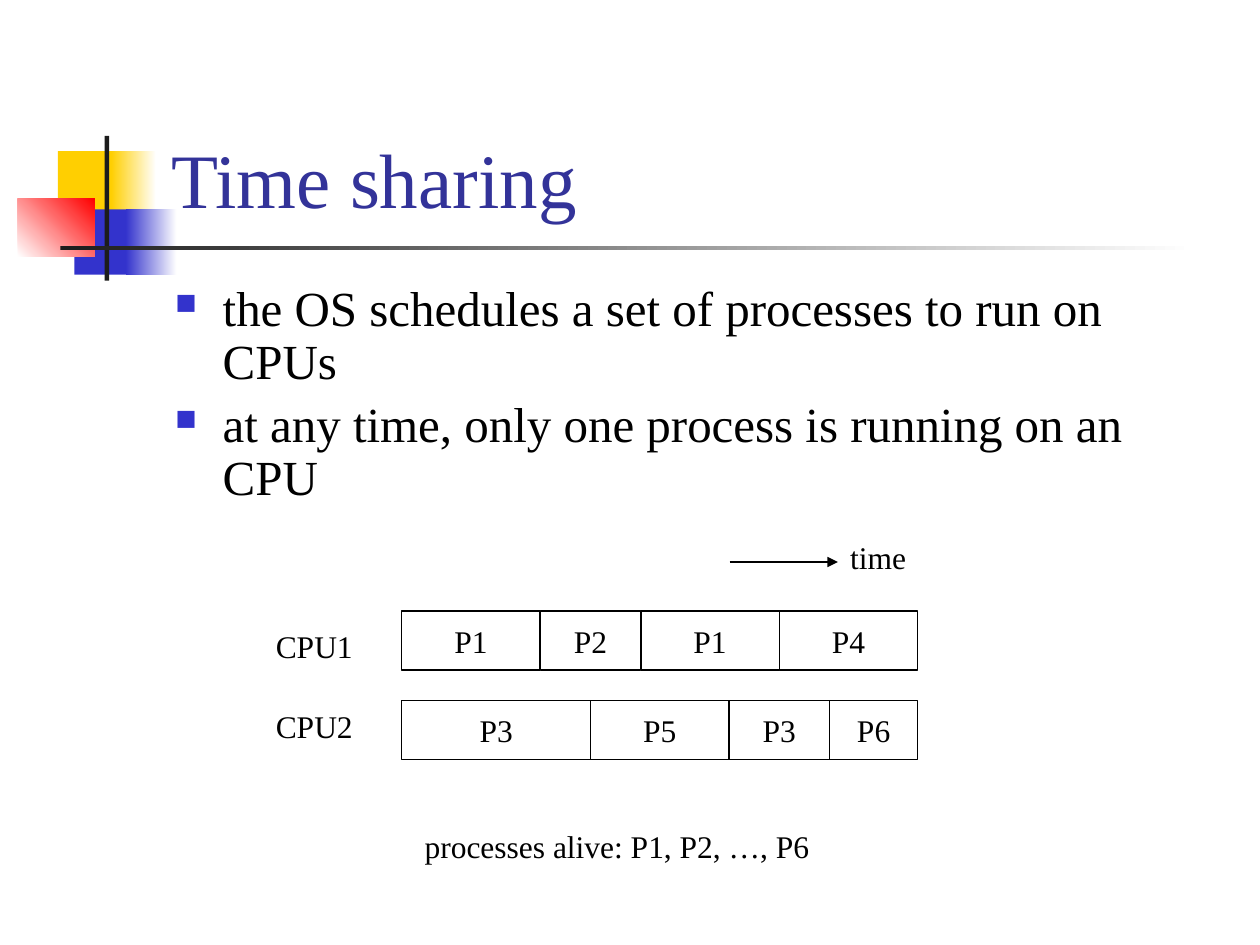
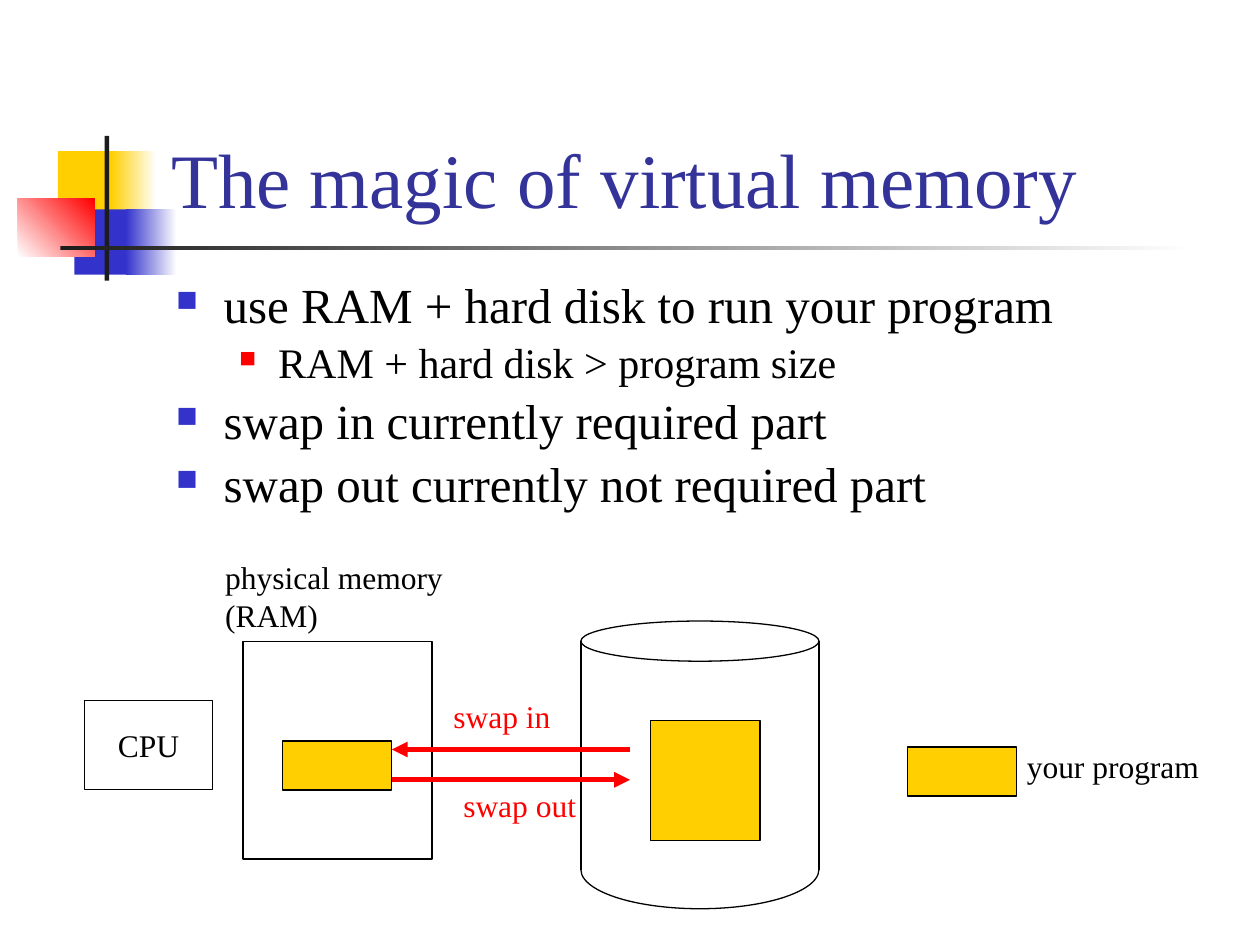
from lxml.etree import SubElement
from pptx import Presentation
from pptx.dml.color import RGBColor
from pptx.enum.shapes import MSO_CONNECTOR as Link, MSO_SHAPE as Kind
from pptx.enum.text import MSO_ANCHOR as Anchor, MSO_AUTO_SIZE as Fit, PP_ALIGN as Align
from pptx.oxml.ns import qn
from pptx.util import Cm, Pt

FONT = "Times New Roman"
BLACK, WHITE, DARK = "000000", "FFFFFF", "1C1C1C"
BLUE, YELLOW, RED, TITLE = "3333CC", "FFCF01", "FF0000", "333399"
LEVELS = [
    dict(size=28, indent=0.96, hang=0.96, color=BLUE, scale=60),
    dict(size=24, indent=2.06, hang=0.79, color=RED, scale=55),
]


def rgb(value):
    return RGBColor.from_string(value)


class Deck:
    """Slide builder that keeps the shared style and the current slide."""

    def __init__(self):
        self.prs = Presentation()
        self.prs.slide_width, self.prs.slide_height = Cm(25.4), Cm(19.05)
        self.s = None

    def slide(self, title):
        self.s = self.prs.slides.add_slide(self.prs.slide_layouts[6])
        self.band(1.17, 3.05, 1.22, 1.32, YELLOW)
        self.band(2.24, 3.05, 0.91, 1.32, YELLOW, WHITE)
        self.band(1.5, 4.22, 1.17, 1.32, BLUE)
        self.band(2.54, 4.22, 1.02, 1.32, BLUE, WHITE)
        self.band(0.36, 4.01, 1.55, 1.17, WHITE, RED, 45)
        self.band(2.11, 2.74, 0.09, 2.92, DARK)
        self.band(1.22, 4.95, 22.86, 0.09, DARK, WHITE)
        tf = self.frame(3.2, 0.58, 21.64, 4.06)
        tf.vertical_anchor = Anchor.BOTTOM
        self.run(tf.paragraphs[0], title, 44, TITLE)

    def run(self, p, text, size=18, color=BLACK):
        r = p.add_run()
        r.text = text
        r.font.name, r.font.size = FONT, Pt(size)
        r.font.color.rgb = rgb(color)

    def frame(self, x, y, w, h, wrap=True):
        tf = self.s.shapes.add_textbox(Cm(x), Cm(y), Cm(w), Cm(h)).text_frame
        tf.word_wrap = wrap
        return tf

    def label(self, x, y, w, *lines, color=BLACK):
        tf = self.frame(x, y, w, 0.25 + 0.77 * len(lines), wrap=False)
        tf.auto_size = Fit.SHAPE_TO_FIT_TEXT
        for i, line in enumerate(lines):
            self.run(tf.add_paragraph() if i else tf.paragraphs[0], line, color=color)

    def bullets(self, x, y, h, *items):
        tf = self.frame(x, y, 21.59, h)
        for i, (level, text) in enumerate(items):
            style = LEVELS[level]
            p = tf.add_paragraph() if i else tf.paragraphs[0]
            p.level, p.line_spacing = level, 0.9
            p.space_before = Pt(style["size"] * 0.2)
            self.run(p, text, style["size"])
            pr = p._p.get_or_add_pPr()
            pr.set("marL", str(Cm(style["indent"])))
            pr.set("indent", str(-Cm(style["hang"])))
            SubElement(SubElement(pr, qn("a:buClr")), qn("a:srgbClr"), val=style["color"])
            SubElement(pr, qn("a:buSzPct"), val=str(style["scale"] * 1000))
            SubElement(pr, qn("a:buChar"), char="■")

    def shape(self, kind, x, y, w, h, fill=None, line=BLACK):
        sp = self.s.shapes.add_shape(kind, Cm(x), Cm(y), Cm(w), Cm(h))
        sp.shadow.inherit = False
        if fill:
            sp.fill.solid()
            sp.fill.fore_color.rgb = rgb(fill)
        else:
            sp.fill.background()
        if line:
            sp.line.color.rgb, sp.line.width = rgb(line), Pt(0.75)
        else:
            sp.line.fill.background()
        return sp

    def band(self, x, y, w, h, start, end=None, angle=0):
        sp = self.shape(Kind.RECTANGLE, x, y, w, h, start, None)
        if end:
            sp.fill.gradient()
            sp.fill.gradient_angle = angle
            for stop, color in zip(sp.fill.gradient_stops, (start, end)):
                stop.color.rgb = rgb(color)

    def box(self, x, y, w, h, text=None, fill=None):
        tf = self.shape(Kind.RECTANGLE, x, y, w, h, fill).text_frame
        if text:
            tf.word_wrap, tf.vertical_anchor = False, Anchor.MIDDLE
            tf.paragraphs[0].alignment = Align.CENTER
            self.run(tf.paragraphs[0], text)

    def line(self, x1, y1, x2, y2, color=BLACK, width=0.75, arrow=False):
        c = self.s.shapes.add_connector(Link.STRAIGHT, Cm(x1), Cm(y1), Cm(x2), Cm(y2))
        c.line.color.rgb, c.line.width = rgb(color), Pt(width)
        pr = c.element.spPr
        if arrow:
            SubElement(pr.find(qn("a:ln")), qn("a:tailEnd"), type="triangle")
        SubElement(pr, qn("a:effectLst"))

    def timeline(self, x, y, span, slots):
        total = sum(ticks for _, ticks in slots)
        for name, ticks in slots:
            w = span * ticks / total
            self.box(x, y, w, 1.19, name)
            x += w

    def cylinder(self, x, y, w, h, lid, bend):
        self.shape(Kind.OVAL, x, y, w, lid)
        for side in (x, x + w):
            self.line(side, y + lid / 2, side, y + h)
        arc = self.shape(Kind.ARC, x, y + h - bend, w, 2 * bend)
        arc.adjustments[0], arc.adjustments[1] = 0, 108


def time_sharing(deck):
    deck.slide("Time sharing")
    deck.bullets(
        3.28, 5.61, 4.93,
        (0, "the OS schedules a set of processes to run on CPUs"),
        (0, "at any time, only one process is running on an CPU"),
    )
    deck.line(14.71, 11.33, 16.89, 11.33, arrow=True)
    deck.label(16.89, 10.72, 1.65, "time")
    deck.timeline(8.1, 12.32, 10.4, [("P1", 11), ("P2", 8), ("P1", 11), ("P4", 11)])
    deck.timeline(8.1, 14.12, 10.4, [("P3", 15), ("P5", 11), ("P3", 8), ("P6", 7)])
    deck.label(5.31, 12.52, 2.06, "CPU1")
    deck.label(5.31, 14.12, 2.06, "CPU2")
    deck.label(8.31, 16.54, 8.28, "processes alive: P1, P2, …, P6")


def virtual_memory(deck):
    deck.slide("The magic of virtual memory")
    deck.bullets(
        3.3, 5.54, 5.21,
        (0, "use RAM + hard disk to run your program"),
        (1, "RAM + hard disk > program size"),
        (0, "swap in currently required part"),
        (0, "swap out currently not required part"),
    )
    deck.box(1.7, 14.12, 2.59, 1.8, "CPU")
    deck.box(4.9, 12.93, 3.81, 4.39)
    deck.label(4.29, 11.13, 4.9, "physical memory", "(RAM)")
    deck.cylinder(11.71, 12.52, 4.8, 5.01, lid=0.81, bend=0.79)
    for x, y, h in ((5.69, 14.94, 0.99), (13.11, 14.53, 2.41), (18.29, 15.06, 0.99)):
        deck.box(x, y, 2.21, h, fill=YELLOW)
    deck.line(12.7, 15.11, 7.9, 15.11, RED, 3, arrow=True)
    deck.label(8.89, 13.92, 2.46, "swap in", color=RED)
    deck.line(7.9, 15.72, 12.7, 15.72, RED, 3, arrow=True)
    deck.label(9.09, 15.72, 2.79, "swap out", color=RED)
    deck.label(20.45, 14.94, 3.99, "your program")


def main():
    deck = Deck()
    time_sharing(deck)
    virtual_memory(deck)
    deck.prs.save("out.pptx")


if __name__ == "__main__":
    main()
